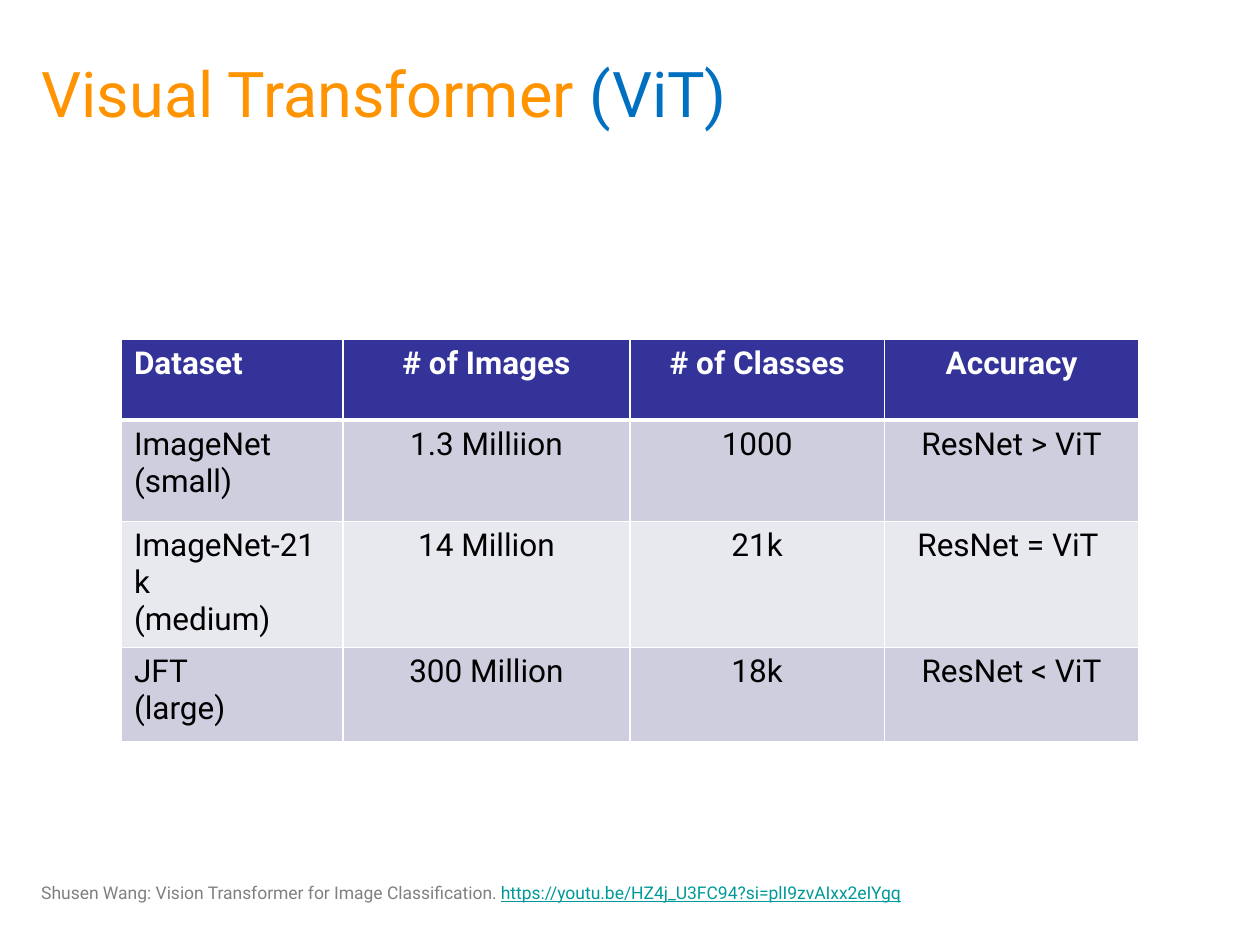
"""Build the slide comparing ResNet and ViT accuracy by dataset size."""
from lxml import etree
from pptx import Presentation
from pptx import util as u
from pptx.dml import color
from pptx.enum import text
from pptx.oxml import ns

COLORS = {
    "orange": "FF9300", "blue": "0070C0", "grey": "808080", "teal": "009999",
    "navy": "333399", "lavender": "CECEDE", "mist": "E8E8EF",
    "white": "FFFFFF", "black": "000000",
}


class SlideBuilder:
    """Hold the style and the current slide."""

    font_name = "Roboto"

    def __init__(self, slide):
        self.slide = slide

    def rgb(self, name):
        """Return a palette colour."""
        return color.RGBColor.from_string(COLORS[name])

    def format_font(self, font, shade, **values):
        """Apply the house font, a colour and further font values."""
        for attribute, value in {"name": self.font_name, **values}.items():
            setattr(font, attribute, value)
        font.color.rgb = self.rgb(shade)

    def add_runs(self, paragraph, size, runs):
        """Add (wording, colour, underline) runs to a paragraph."""
        for wording, shade, underline in runs:
            run = paragraph.add_run()
            run.text = wording
            self.format_font(run.font, shade, size=u.Pt(size), underline=underline)

    def place(self, shape, box):
        """Move a shape to a box of points."""
        for attribute, value in zip(("left", "top", "width", "height"), box):
            setattr(shape, attribute, u.Pt(value))

    def title(self, box, size, runs):
        """Fill the title placeholder."""
        heading = self.slide.shapes.title
        self.place(heading, box)
        heading.text_frame.vertical_anchor = text.MSO_ANCHOR.MIDDLE
        paragraph = heading.text_frame.paragraphs[0]
        paragraph.alignment = text.PP_ALIGN.LEFT
        self.add_runs(paragraph, size, runs)

    def citation(self, box, size, runs):
        """Add a wrapped line of source text."""
        source = self.slide.shapes.add_textbox(*map(u.Pt, box))
        source.text_frame.word_wrap = True
        self.add_runs(source.text_frame.paragraphs[0], size, runs)

    def cell_borders(self, cell, bottom):
        """Draw white borders, with a chosen bottom and top width."""
        properties = cell._tc.get_or_add_tcPr()
        widths = {"lnL": 1, "lnR": 1, "lnT": 1, "lnB": bottom}
        for position, (side, width) in enumerate(widths.items()):
            line = etree.Element(ns.qn(f"a:{side}"), w=str(u.Pt(width)))
            fill = etree.SubElement(line, ns.qn("a:solidFill"))
            etree.SubElement(fill, ns.qn("a:srgbClr"), val=COLORS["white"])
            properties.insert(position, line)

    def table(self, box, widths, heights, rows, size):
        """Add a table with a dark header and banded rows."""
        grid = self.slide.shapes.add_table(
            len(rows), len(widths), *map(u.Pt, box)).table
        for column, width in zip(grid.columns, widths):
            column.width = u.Pt(width)
        for row, height in zip(grid.rows, heights):
            row.height = u.Pt(height)
        for r, row in enumerate(rows):
            header = r == 0
            band = "navy" if header else ("mist", "lavender")[r % 2]
            for c, wording in enumerate(row):
                cell = grid.cell(r, c)
                cell.text = wording
                cell.fill.solid()
                cell.fill.fore_color.rgb = self.rgb(band)
                self.cell_borders(cell, 3 if header else 1)
                for paragraph in cell.text_frame.paragraphs:
                    if c:
                        paragraph.alignment = text.PP_ALIGN.CENTER
                    for run in paragraph.runs:
                        self.format_font(run.font, "white" if header else "black",
                                         size=u.Pt(size), bold=header)


def main():
    """Build and save the slide."""
    deck = Presentation()
    deck.slide_width, deck.slide_height = u.Pt(720), u.Pt(540)
    builder = SlideBuilder(deck.slides.add_slide(deck.slide_layouts[5]))
    builder.title((16.5, 8, 648, 90), 36, [
        ("Visual Transformer ", "orange", False),
        ("(ViT)", "blue", False),
    ])
    builder.citation((16.5, 500.5, 656, 19.5), 10, [
        ("Shusen Wang: Vision Transformer for Image Classification. ", "grey", False),
        ("https://youtu.be/HZ4j_U3FC94?si=plI9zvAIxx2eIYgq", "teal", True),
    ])
    builder.table(
        (69.4, 194, 581.4, 211.7),
        widths=(126.6, 164, 145.4, 145.4),
        heights=(46, 58, 53.6, 54),
        rows=[
            ("Dataset", "# of Images", "# of Classes", "Accuracy"),
            ("ImageNet\n(small)", "1.3 Milliion", "1000", "ResNet > ViT"),
            ("ImageNet-21k\n(medium)", "14 Million", "21k", "ResNet = ViT "),
            ("JFT\n(large)", "300 Million", "18k", "ResNet < ViT"),
        ],
        size=18,
    )
    deck.save("out.pptx")


if __name__ == "__main__":
    main()
